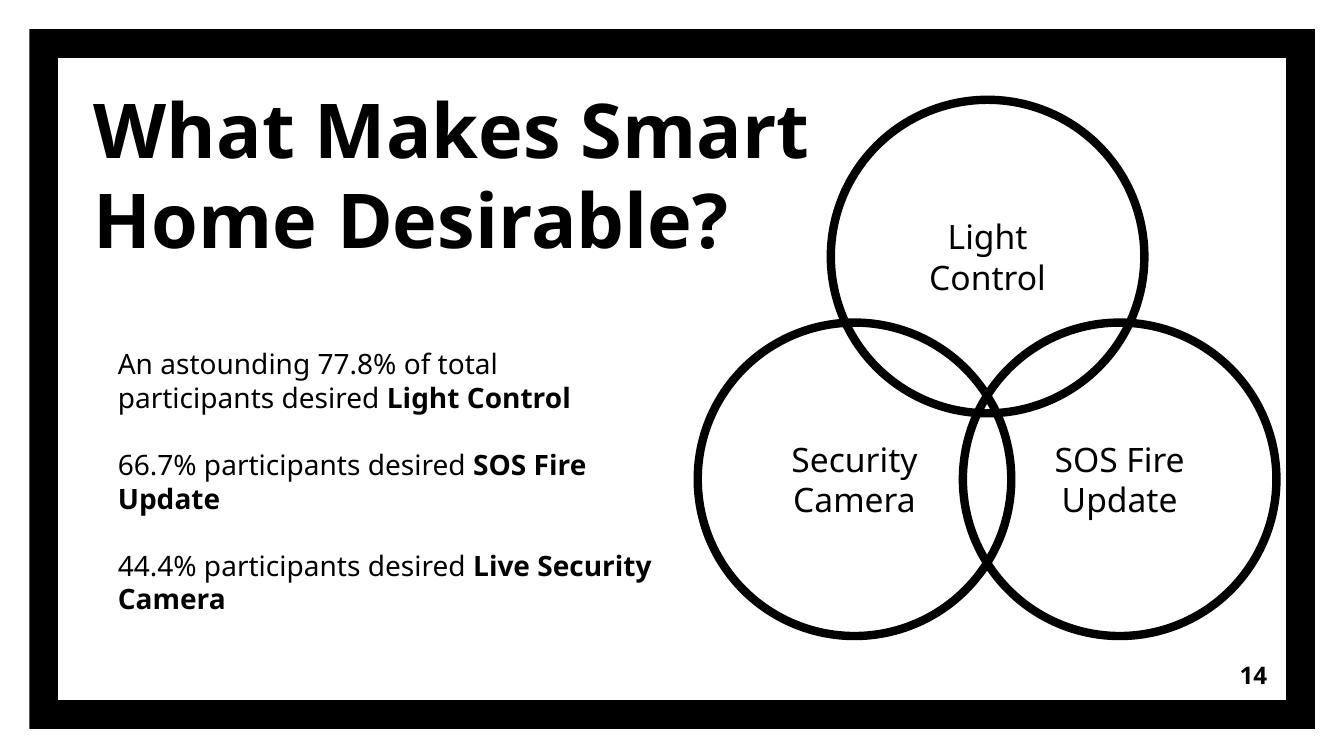
import pptx
import pptx.util
import pptx.dml.color
import pptx.enum.shapes
import pptx.enum.text
from dataclasses import dataclass

Inches = pptx.util.Inches
Pt = pptx.util.Pt
Shape = pptx.enum.shapes.MSO_SHAPE
Align = pptx.enum.text.PP_ALIGN
Anchor = pptx.enum.text.MSO_ANCHOR


@dataclass
class Theme:
    font: str = "Noto Sans"
    ink: str = "000000"
    paper: str = "FFFFFF"
    title: float = 54
    label: float = 24
    body: float = 20
    number: float = 17.3
    stroke: float = 6


class Deck:
    def __init__(self, theme):
        self.theme = theme
        self.ink = pptx.dml.color.RGBColor.from_string(theme.ink)
        self.file = pptx.Presentation()
        self.file.slide_width = Inches(13.33)
        self.file.slide_height = Inches(7.5)
        self.slide = self.file.slides.add_slide(self.file.slide_layouts[5])
        fill = self.slide.background.fill
        fill.solid()
        fill.fore_color.rgb = pptx.dml.color.RGBColor.from_string(theme.paper)

    def style(self, run, size, bold=False):
        run.font.name = self.theme.font
        run.font.size = Pt(size)
        run.font.bold = bold
        run.font.color.rgb = self.ink

    def setup(self, frame, anchor, inset=None):
        frame.word_wrap = True
        frame.auto_size = pptx.enum.text.MSO_AUTO_SIZE.NONE
        frame.vertical_anchor = anchor
        if inset is not None:
            frame.margin_left = frame.margin_right = Inches(inset)
            frame.margin_top = frame.margin_bottom = Inches(inset)

    def label(self, frame, text, size, align, bold=False):
        frame.text = text
        para = frame.paragraphs[0]
        para.alignment = align
        self.style(para.runs[0], size, bold)

    def shape(self, kind, left, top, width, height):
        shape = self.slide.shapes.add_shape(
            kind, Inches(left), Inches(top), Inches(width), Inches(height))
        shape.shadow.inherit = False
        return shape

    def box(self, left, top, width, height):
        return self.slide.shapes.add_textbox(
            Inches(left), Inches(top), Inches(width), Inches(height)).text_frame

    def border(self, left, top, width, height, thick):
        frame = self.shape(Shape.FRAME, left, top, width, height)
        frame.adjustments[0] = thick
        frame.fill.solid()
        frame.fill.fore_color.rgb = self.ink
        frame.line.fill.background()

    def title(self, text, left, top, width, height):
        title = self.slide.shapes.title
        title.left, title.top = Inches(left), Inches(top)
        title.width, title.height = Inches(width), Inches(height)
        self.setup(title.text_frame, Anchor.TOP)
        self.label(title.text_frame, text, self.theme.title, Align.LEFT, True)

    def circle(self, text, left, top, size):
        ring = self.shape(Shape.OVAL, left, top, size, size)
        ring.fill.background()
        ring.line.color.rgb = self.ink
        ring.line.width = Pt(self.theme.stroke)
        self.setup(ring.text_frame, Anchor.MIDDLE, 0.13)
        self.label(ring.text_frame, text, self.theme.label, Align.CENTER)

    def number(self, text, left, top, width, height):
        frame = self.box(left, top, width, height)
        self.setup(frame, Anchor.MIDDLE, 0.13)
        self.label(frame, text, self.theme.number, Align.RIGHT, True)

    def points(self, items, left, top, width, height):
        frame = self.box(left, top, width, height)
        self.setup(frame, Anchor.TOP)
        size = self.theme.body
        for i, (lead, topic) in enumerate(items):
            para = frame.add_paragraph() if i else frame.paragraphs[0]
            para.space_before = Pt(1.2 * size if i else 0)
            para.text = lead
            self.style(para.runs[0], size)
            run = para.add_run()
            run.text = topic
            self.style(run, size, True)


def main():
    deck = Deck(Theme())
    deck.border(0.29, 0.29, 12.75, 6.94, 0.041)
    deck.title("What Makes Smart Home Desirable?", 0.83, 0.77, 7.74, 1.92)
    for text, left, top in [
        ("Light Control", 8.24, 0.99),
        ("Security Camera", 6.92, 3.2),
        ("SOS Fire Update", 9.55, 3.2),
    ]:
        deck.circle(text, left, top, 3.11)
    deck.number("14", 11.9, 6.41, 0.8, 0.57)
    deck.points([
        ("An astounding 77.8% of total participants desired ", "Light Control"),
        ("66.7% participants desired ", "SOS Fire Update"),
        ("44.4% participants desired ", "Live Security Camera"),
    ], 1.07, 3.39, 5.59, 3.13)
    deck.file.save("out.pptx")


if __name__ == "__main__":
    main()
